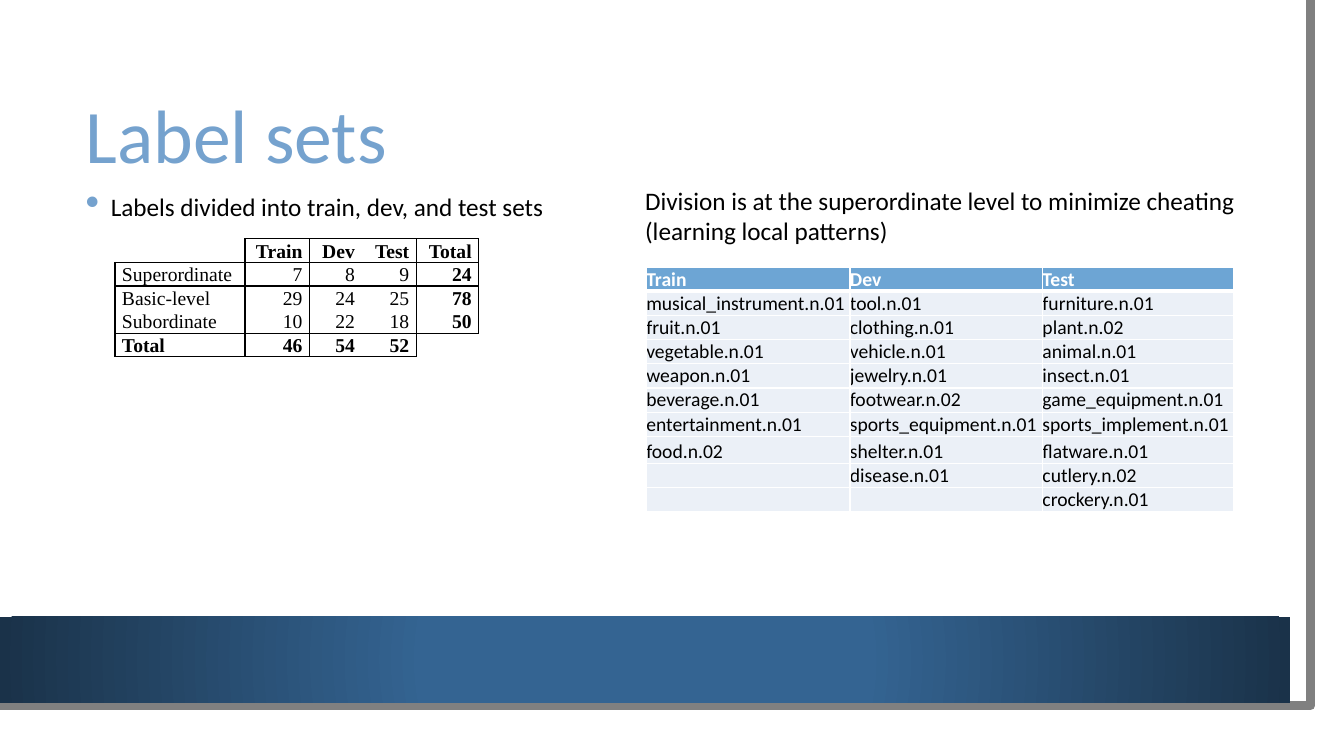
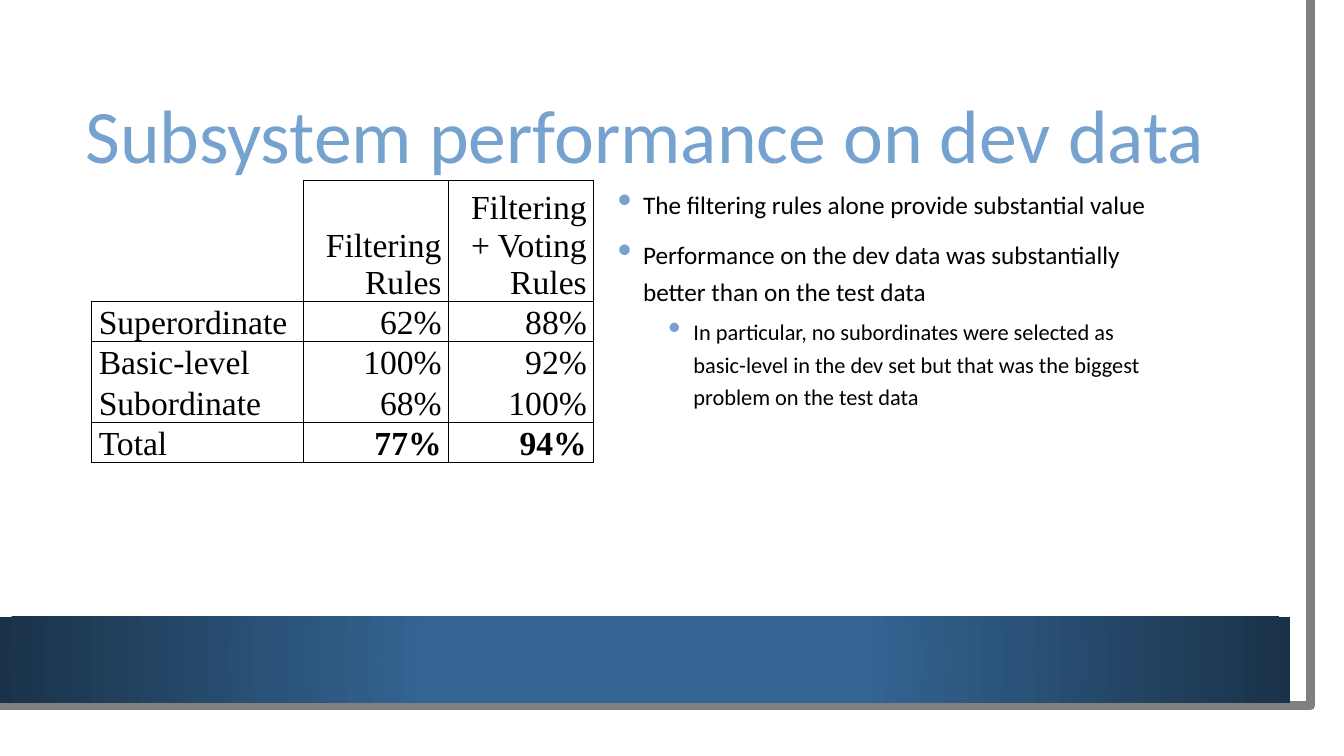
import lxml.etree
import pptx
import pptx.dml.color
import pptx.enum.dml
import pptx.enum.shapes
import pptx.enum.text
import pptx.oxml.ns
import pptx.util

Inches = pptx.util.Inches
Pt = pptx.util.Pt
RGBColor = pptx.dml.color.RGBColor
ANCHOR = pptx.enum.text.MSO_ANCHOR
ALIGN = pptx.enum.text.PP_ALIGN
qn = pptx.oxml.ns.qn

BLACK = RGBColor(0x00, 0x00, 0x00)
WHITE = RGBColor(0xFF, 0xFF, 0xFF)
FRAME_GRAY = RGBColor(0x80, 0x80, 0x80)
TITLE_BLUE = RGBColor(0x75, 0xA2, 0xCE)
BAND_CENTER = RGBColor(0x34, 0x64, 0x92)
BAND_EDGE = RGBColor(0x1A, 0x32, 0x49)
HEADER_BLUE = RGBColor(0x6D, 0xA5, 0xD4)
ROW_BLUE = RGBColor(0xEB, 0xF0, 0xF7)

SANS = "Calibri"
SERIF = "Times New Roman"
NO_STYLE = "{2D5ABB26-0587-4C30-8999-92F81FD0307C}"
FRAME_POINTS = [(12.82, 0), (12.85, 7.02), (-0.03, 7.01)]
TITLE_BOX = (0.75, 0.75, 11.37, 1.26)
LEVELS = [
    {"size": 18, "indent": 0.25, "before": 10},
    {"size": 16, "indent": 0.75, "before": 5},
]

LABEL_COUNTS = {
    "at": (1.14, 2.37),
    "columns": [1.29, 0.64, 0.52, 0.54, 0.62],
    "heights": [0.22] * 5,
    "rows": [
        ["", "Train", "Dev", "Test", "Total"],
        ["Superordinate", "7", "8", "9", "24"],
        ["Basic-level", "29", "24", "25", "78"],
        ["Subordinate", "10", "22", "18", "50"],
        ["Total", "46", "54", "52", ""],
    ],
    "bold": [(0, 0, 1, 4), (1, 3, 4, 4), (4, 4, 0, 3)],
    "boxes": [(0, 0, 1, 3), (0, 0, 4, 4), (1, 3, 0, 0), (1, 3, 1, 3),
              (1, 3, 4, 4), (4, 4, 0, 0), (4, 4, 1, 3)],
    "font": SERIF, "size": 14, "inset": 0.07, "numeric": True, "line": BLACK,
}
LABEL_DIVISION = {
    "at": (6.41, 2.65),
    "columns": [2.02, 1.91, 1.9],
    "heights": [0.24] * 7 + [0.27] + [0.24] * 2,
    "rows": [
        ["Train", "Dev", "Test"],
        ["musical_instrument.n.01", "tool.n.01", "furniture.n.01"],
        ["fruit.n.01", "clothing.n.01", "plant.n.02"],
        ["vegetable.n.01", "vehicle.n.01", "animal.n.01"],
        ["weapon.n.01", "jewelry.n.01", "insect.n.01"],
        ["beverage.n.01", "footwear.n.02", "game_equipment.n.01"],
        ["entertainment.n.01", "sports_equipment.n.01", "sports_implement.n.01"],
        ["food.n.02", "shelter.n.01", "flatware.n.01"],
        ["", "disease.n.01", "cutlery.n.02"],
        ["", "", "crockery.n.01"],
    ],
    "bold": [(0, 0, 0, 2)],
    "boxes": [(r, r, c, c) for r in range(10) for c in range(3)],
    "font": SANS, "size": 14, "inset": 0, "numeric": False, "line": WHITE,
    "fills": (HEADER_BLUE, ROW_BLUE), "header_line": 3,
}
PERFORMANCE = {
    "at": (0.91, 1.79),
    "columns": [2.1, 1.44, 1.44],
    "heights": [1.11] + [0.37] * 4,
    "rows": [
        ["", "Filtering Rules", "Filtering + Voting Rules"],
        ["Superordinate", "62%", "88%"],
        ["Basic-level", "100%", "92%"],
        ["Subordinate", "68%", "100%"],
        ["Total", "77%", "94%"],
    ],
    "bold": [(4, 4, 1, 2)],
    "boxes": [(0, 0, 1, 1), (0, 0, 2, 2)]
    + [(top, bottom, c, c) for top, bottom in [(1, 3), (4, 4)] for c in range(3)],
    "font": SERIF, "size": 24, "inset": 0.07, "numeric": True, "line": BLACK,
}
SLIDES = [
    {
        "title": "Label sets",
        "bullets_at": (0.75, 1.79, 11.09, 4.22),
        "bullets": [(0, "Labels divided into train, dev, and test sets")],
        "tables": [LABEL_COUNTS, LABEL_DIVISION],
        "caption_at": (6.3, 1.79, 6.08, 0.71),
        "caption": "Division is at the superordinate level to minimize cheating "
                   "(learning local patterns)",
    },
    {
        "title": "Subsystem performance on dev data",
        "bullets_at": (6.03, 1.77, 5.66, 4.22),
        "bullets": [
            (0, "The filtering rules alone provide substantial value"),
            (0, "Performance on the dev data was substantially better than on the test data"),
            (1, "In particular, no subordinates were selected as basic-level in the dev "
                "set but that was the biggest problem on the test data"),
        ],
        "tables": [PERFORMANCE],
    },
]


def apply(target, values):
    for name, value in values.items():
        setattr(target, name, value)


def add_element(parent, tag, **attributes):
    return lxml.etree.SubElement(parent, qn(tag), attributes)


def write(paragraph, text, size, color=BLACK, font=SANS, bold=False):
    run = paragraph.add_run()
    run.text = text
    apply(run.font, {"name": font, "size": Pt(size), "bold": bold})
    run.font.color.rgb = color


def add_frame(slide):
    scale = Inches(1)
    outline = slide.shapes.build_freeform(*FRAME_POINTS[0], scale=scale)
    outline.add_line_segments(FRAME_POINTS[1:], close=False)
    edge = outline.convert_to_shape()
    edge.shadow.inherit = False
    edge.fill.background()
    edge.line.color.rgb = FRAME_GRAY
    edge.line.width = Pt(6.5)

    band = slide.shapes.add_shape(
        pptx.enum.shapes.MSO_SHAPE.RECTANGLE, 0, Inches(6.12), Inches(12.8), Inches(0.85))
    band.shadow.inherit = False
    band.line.fill.background()
    band.fill.gradient()
    stops = [(0.34, BAND_CENTER), (1, BAND_EDGE)]
    for stop, (position, color) in zip(band.fill.gradient_stops, stops):
        stop.position = position
        stop.color.rgb = color
    gradient = band.element.spPr.find(qn("a:gradFill"))
    gradient.remove(gradient.find(qn("a:lin")))
    circle = add_element(gradient, "a:path", path="circle")
    add_element(circle, "a:fillToRect", l="50000", t="50000", r="50000", b="50000")


def add_text(slide, box, anchor=ANCHOR.TOP):
    frame = slide.shapes.add_textbox(*map(Inches, box)).text_frame
    apply(frame, {"word_wrap": True, "vertical_anchor": anchor})
    return frame


def add_bullets(slide, box, bullets):
    frame = add_text(slide, box)
    for index, (level, text) in enumerate(bullets):
        paragraph = frame.add_paragraph() if index else frame.paragraphs[0]
        look = LEVELS[level]
        apply(paragraph, {"level": level, "line_spacing": 1.2,
                          "space_before": Pt(look["before"])})
        write(paragraph, text, look["size"])
        properties = paragraph._p.get_or_add_pPr()
        properties.set("marL", str(Inches(look["indent"])))
        properties.set("indent", str(Inches(-0.25)))
        add_element(add_element(properties, "a:buClr"), "a:srgbClr", val=str(TITLE_BLUE))
        add_element(properties, "a:buSzPct", val="160000")
        add_element(properties, "a:buChar", char="•")


def within(row, column, blocks):
    return any(top <= row <= bottom and left <= column <= right
               for top, bottom, left, right in blocks)


def cell_edges(row, column, content):
    edges = {}
    for box in content["boxes"]:
        if within(row, column, [box]):
            top, bottom, left, right = box
            sides = [("L", column == left), ("R", column == right),
                     ("T", row == top), ("B", row == bottom)]
            edges = {side: 1 for side, outer in sides if outer}
    if row == 0 and "B" in edges:
        edges["B"] = content.get("header_line", 1)
    if row == 1 and "T" in edges:
        edges["T"] = content.get("header_line", 1)
    return edges


def draw_edges(cell, edges, color):
    properties = cell._tc.get_or_add_tcPr()
    for side, width in edges.items():
        line = add_element(properties, "a:ln" + side, w=str(Pt(width)))
        add_element(add_element(line, "a:solidFill"), "a:srgbClr", val=str(color))


def add_table(slide, content):
    rows, columns = content["rows"], content["columns"]
    heights = content["heights"]
    left, top = content["at"]
    table = slide.shapes.add_table(
        len(rows), len(columns), Inches(left), Inches(top),
        Inches(sum(columns)), Inches(sum(heights))).table
    apply(table, {"first_row": False, "horz_banding": False})
    table._tbl.tblPr.find(qn("a:tableStyleId")).text = NO_STYLE
    for column, width in zip(table.columns, columns):
        column.width = Inches(width)
    for r, (texts, height) in enumerate(zip(rows, heights)):
        table.rows[r].height = Inches(height)
        for c, text in enumerate(texts):
            cell = table.cell(r, c)
            inset = Inches(content["inset"])
            apply(cell, {"margin_left": inset, "margin_right": inset, "margin_top": 0,
                         "margin_bottom": 0, "vertical_anchor": ANCHOR.BOTTOM})
            draw_edges(cell, cell_edges(r, c, content), content["line"])
            fills = content.get("fills")
            if fills:
                cell.fill.solid()
                cell.fill.fore_color.rgb = fills[min(r, 1)]
            else:
                cell.fill.background()
            paragraph = cell.text_frame.paragraphs[0]
            if content["numeric"] and c:
                paragraph.alignment = ALIGN.RIGHT
            if text:
                color = WHITE if fills and r == 0 else BLACK
                write(paragraph, text, content["size"], color, content["font"],
                      within(r, c, content["bold"]))
            else:
                add_element(paragraph._p, "a:endParaRPr", sz=str(content["size"] * 100))


def main():
    deck = pptx.Presentation()
    apply(deck, {"slide_width": Inches(13.33), "slide_height": Inches(7.5)})
    for content in SLIDES:
        slide = deck.slides.add_slide(deck.slide_layouts[6])
        add_frame(slide)
        heading = add_text(slide, TITLE_BOX, ANCHOR.MIDDLE).paragraphs[0]
        heading.line_spacing = 0.9
        write(heading, content["title"], 54, TITLE_BLUE)
        add_bullets(slide, content["bullets_at"], content["bullets"])
        for table in content["tables"]:
            add_table(slide, table)
        if "caption" in content:
            caption = add_text(slide, content["caption_at"])
            write(caption.paragraphs[0], content["caption"], 18)
    deck.save("out.pptx")


if __name__ == "__main__":
    main()
